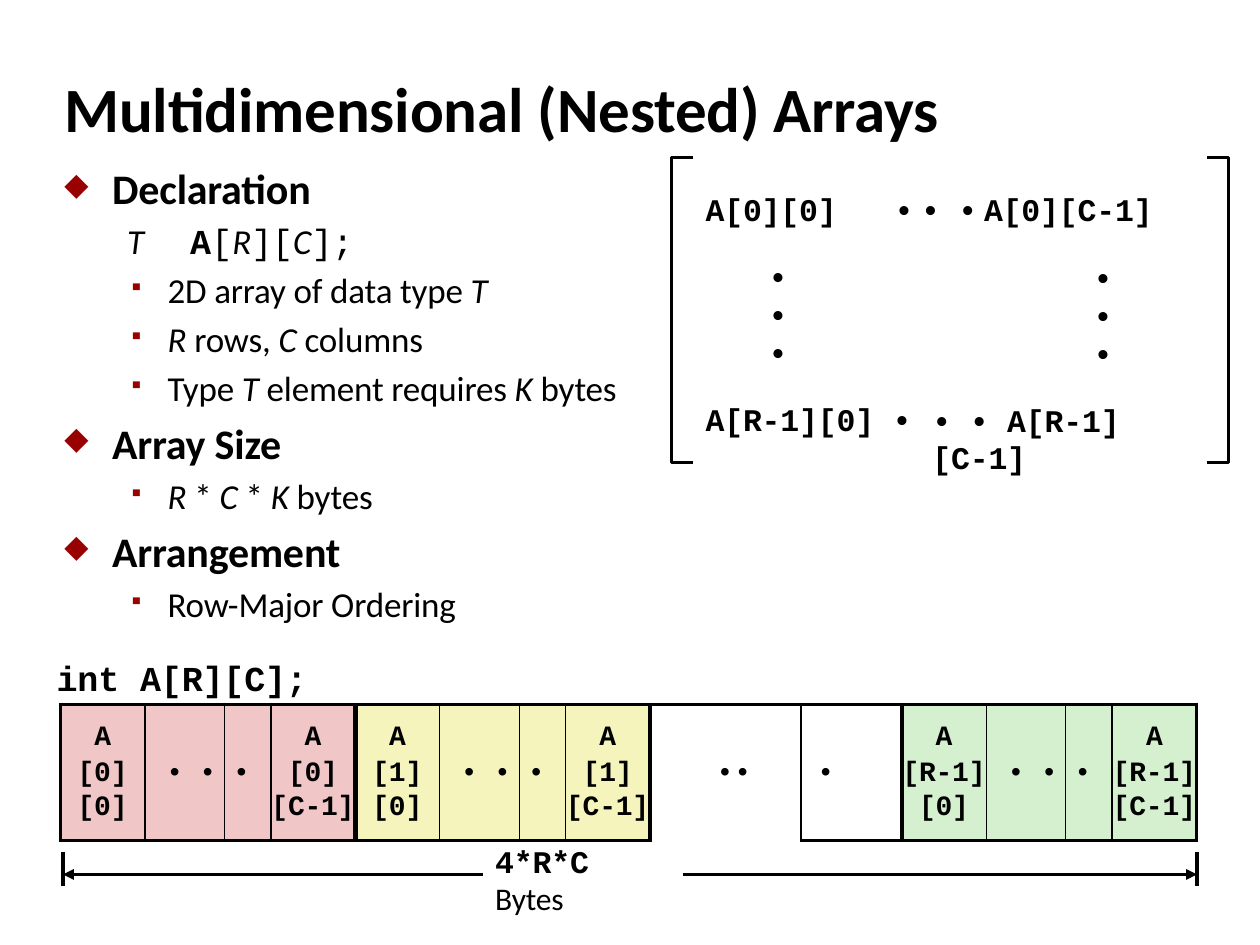
from itertools import accumulate

from pptx import Presentation
from pptx.dml.color import RGBColor
from pptx.enum.shapes import MSO_CONNECTOR
from pptx.enum.text import PP_ALIGN
from pptx.oxml import parse_xml
from pptx.oxml.ns import nsdecls
from pptx.util import Inches, Pt

COLORS = {"ink": "000000", "bullet": "990000",
          "row0": "F0C6C6", "row1": "F5F4BC", "last": "D4F0CE"}
MONO, SANS = "Courier New", "Calibri"
FONTS = {
    "title": dict(name=SANS, size=Pt(36), bold=True),
    "head": dict(name=SANS, size=Pt(24), bold=True),
    "body": dict(name=SANS, size=Pt(20), bold=False),
    "var": dict(name=SANS, size=Pt(20), bold=False, italic=True),
    "type": dict(name=MONO, size=Pt(20), bold=False),
    "code": dict(name=MONO, size=Pt(20), bold=True),
    "matrix": dict(name=MONO, size=Pt(18), bold=True),
    "unit": dict(name=SANS, size=Pt(18), bold=False),
    "cell": dict(name=MONO, size=Pt(16), bold=True),
    "dots": dict(name=MONO, size=Pt(16), bold=False),
}
BULLETS = {"◆": 75, "▪": 60}  # size in percent of the text


def rgb(name):
    return RGBColor.from_string(COLORS[name])


def element(xml):
    head, rest = xml.split(" ", 1) if " " in xml else (xml[:-2], "/>")
    return parse_xml(f"{head} {nsdecls('a')} {rest}")


def para(*runs, left=0, hang=0, before=0, bullet=None, tab=None, **fmt):
    """Describe a paragraph; runs are (text, font key) pairs."""
    return dict(runs=runs, left=left, hang=hang, before=before,
                bullet=bullet, tab=tab, fmt=fmt)


class SlideBuilder:
    def __init__(self, slide):
        self.slide = slide
        self.line_width = 2.07

    def paragraphs(self, tf, items):
        for i, item in enumerate(items):
            p = tf.paragraphs[0] if i == 0 else tf.add_paragraph()
            pPr = p._p.get_or_add_pPr()
            pPr.set("marL", str(Inches(item["left"])))
            pPr.set("indent", str(Inches(-item["hang"])))
            if item["bullet"]:
                size = BULLETS[item["bullet"]] * 1000
                for xml in (
                    f'<a:buClr ><a:srgbClr val="{COLORS["bullet"]}"/></a:buClr>',
                    f'<a:buSzPct val="{size}"/>',
                    f'<a:buChar char="{item["bullet"]}"/>',
                ):
                    pPr.append(element(xml))
            if item["tab"]:
                pos = Inches(item["tab"])
                pPr.append(element(
                    f'<a:tabLst ><a:tab pos="{pos}" algn="l"/></a:tabLst>'))
            p.space_before = Pt(item["before"])
            for name, value in item["fmt"].items():
                setattr(p, name, value)
            for text, key in item["runs"]:
                r = p.add_run()
                r.text = text
                for name, value in FONTS[key].items():
                    setattr(r.font, name, value)
                r.font.color.rgb = rgb("ink")
                r._r.get_or_add_rPr().set("spc", "-10")

    def text(self, x, y, w, h, *items, top=0.01):
        tf = self.slide.shapes.add_textbox(
            Inches(x), Inches(y), Inches(w), Inches(h)).text_frame
        tf.word_wrap = True
        tf.margin_left = tf.margin_right = tf.margin_bottom = 0
        tf.margin_top = Inches(top)
        self.paragraphs(tf, items)

    def line(self, x1, y1, x2, y2, arrow=False):
        c = self.slide.shapes.add_connector(
            MSO_CONNECTOR.STRAIGHT, *map(Inches, (x1, y1, x2, y2)))
        c.line.color.rgb = rgb("ink")
        c.line.width = Pt(self.line_width)
        if arrow:
            c.line._get_or_add_ln().append(element('<a:tailEnd type="triangle"/>'))
        c._element.spPr.append(element("<a:effectLst/>"))

    def bracket(self, tip, back, top, bottom):
        fb = self.slide.shapes.build_freeform(Inches(tip), Inches(top))
        fb.add_line_segments([(Inches(x), Inches(y)) for x, y in
                              ((back, top), (back, bottom), (tip, bottom))], close=False)
        sp = fb.convert_to_shape()
        sp.shadow.inherit = False
        sp.fill.background()
        sp.line.color.rgb = rgb("ink")
        sp.line.width = Pt(2)

    def borders(self, cell, **widths):
        """Draw sides L, R, T, B in points; a width of 0 leaves a side bare."""
        tcPr = cell._tc.get_or_add_tcPr()
        for side, width in widths.items():
            paint = (f'<a:solidFill><a:srgbClr val="{COLORS["ink"]}"/></a:solidFill>'
                     if width else "<a:noFill/>")
            tcPr.append(element(f'<a:ln{side} w="{Pt(width)}">{paint}</a:ln{side}>'))

    def table(self, x, y, widths, heights, fills, verticals, open_col, contents):
        rows, cols = len(heights), len(widths)
        tbl = self.slide.shapes.add_table(
            rows, cols, Inches(x), Inches(y),
            Inches(sum(widths)), Inches(sum(heights))).table
        tbl.first_row = tbl.horz_banding = False
        for col, w in zip(tbl.columns, widths):
            col.width = Inches(w)
        for row, h in zip(tbl.rows, heights):
            row.height = Inches(h)
        for i in range(rows):
            for j in range(cols):
                cell = tbl.cell(i, j)
                cell.margin_left = cell.margin_right = cell.margin_bottom = 0
                cell.margin_top = Inches(0.14 if i == 0 else 0)
                self.borders(cell, L=verticals[j], R=verticals[j + 1],
                             T=2.25 if i == 0 else 0,
                             B=2.25 if i == rows - 1 and j != open_col else 0)
                if fills[j]:
                    cell.fill.solid()
                    cell.fill.fore_color.rgb = rgb(fills[j])
                else:
                    cell.fill.background()
                if (i, j) in contents:
                    self.paragraphs(cell.text_frame, [contents[i, j]])


def head(text, before=4.8):
    return para((text, "head"), left=0.39, hang=0.38, before=before, bullet="◆", tab=0.39)


def item(*runs):
    return para(*runs, left=0.83, hang=0.31, before=4, bullet="▪", tab=0.83)


def memory_row(b):
    """One block of four cells for each array row, with a gap before the last."""
    block, gap = [0.67, 0.63, 0.37, 0.67], [1.2, 0.8]
    blocks = {0: ("row0", "0"), 4: ("row1", "1"), 10: ("last", "R-1")}
    fills = [None] * 14
    contents = {}
    exact = dict(line_spacing=Pt(17.1))
    for start, (color, index) in blocks.items():
        fills[start:start + 4] = [color] * 4
        for col, last in ((start, "0"), (start + 3, "C-1")):
            for i, text in enumerate(("A", f"[{index}]", f"[{last}]")):
                contents[i, col] = para((text, "cell"), alignment=PP_ALIGN.CENTER,
                                        **(exact if i else {}))
        contents[1, start + 1] = para(("• •", "dots"), left=0.17, **exact)
        contents[1, start + 2] = para(("•", "dots"), left=0.07, **exact)
    contents[1, 8] = para(("•\t•", "dots"), left=0.53, tab=0.93, **exact)
    contents[1, 9] = para(("•", "dots"), left=0.13, **exact)
    inner = [1, 0.5, 1]
    verticals = [2.25, *inner, 3, *inner, 2.25, 1, 2.25, *inner, 2.25]
    b.table(0.48, 5.59, block * 2 + gap + block, [0.44, 0.27, 0.37],
            fills, verticals, 8, contents)


def main():
    prs = Presentation()
    prs.slide_width, prs.slide_height = Inches(10), Inches(7.5)
    b = SlideBuilder(prs.slides.add_slide(prs.slide_layouts[6]))

    b.text(0.5, 0.54, 7.01, 0.63, para(("Multidimensional (Nested) Arrays", "title"), left=0.01))
    b.text(
        0.5, 1.21, 4.45, 3.76,
        head("Declaration", before=0),
        para(("T\t", "var"), ("A", "code"), ("[", "type"), ("R", "var"), ("][", "type"),
             ("C", "var"), ("];", "type"), left=0.51, before=4, tab=0.84),
        item(("2D array of data type ", "body"), ("T", "var")),
        item(("R ", "var"), ("rows, ", "body"), ("C ", "var"), ("columns", "body")),
        item(("Type ", "body"), ("T ", "var"), ("element requires ", "body"),
             ("K ", "var"), ("bytes", "body")),
        head("Array Size"),
        item(("R ", "var"), ("* ", "body"), ("C ", "var"), ("* ", "body"),
             ("K ", "var"), ("bytes", "body")),
        head("Arrangement"),
        item(("Row-Major Ordering", "body")),
        top=0.08)

    dot = ("•", "matrix")
    b.text(7.3, 1.5, 2.28, 0.33, para(("• •\tA[0][C-1]", "matrix"), left=0.01, tab=0.91))
    b.text(7.39, 3.17, 2.19, 0.33, para(("• • A[R-1][C-1]", "matrix"), left=0.01))
    b.text(5.59, 1.5, 1.68, 2,
           para(("A[0][0]\t•", "matrix"), left=0.01, tab=1.43),
           *(para(dot, left=0.51, before=gap) for gap in (16.8, 0, 0)),
           para(("A[R-1][0] •", "matrix"), left=0.01, before=16.8))
    b.text(8.67, 2.04, 0.18, 0.93, *[para(dot, left=0.01)] * 3)
    for tip, back in ((5.5, 5.33), (9.58, 9.75)):
        b.bracket(tip, back, 1.25, 3.67)

    b.text(0.44, 5.2, 2.03, 0.36, para(("int A[R][C];", "code"), left=0.01))
    memory_row(b)

    for inner, end in ((3.83, 0.5), (5.42, 9.5)):
        b.line(end, 6.76, end, 7.03)
        b.line(inner, 6.94, end, 6.94, arrow=True)
    b.text(3.92, 6.67, 0.78, 0.63,
           para(("4*R*C", "matrix"), left=0.01), para(("Bytes", "unit"), left=0.01))

    prs.save("out.pptx")


if __name__ == "__main__":
    main()
